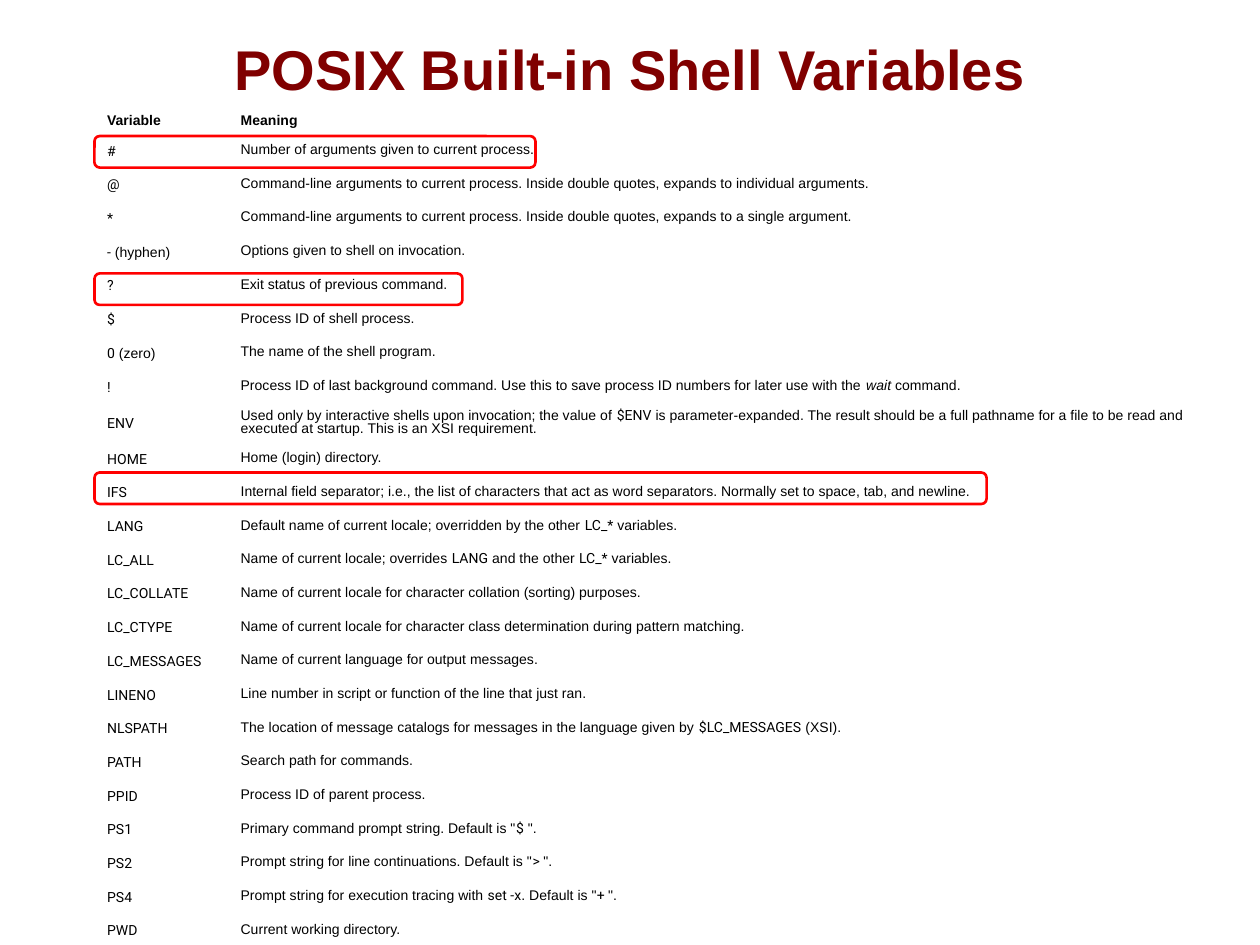
import pptx
import pptx.dml.color
import pptx.enum.shapes
import pptx.enum.text
import pptx.util

Inches = pptx.util.Inches
Pt = pptx.util.Pt
MIDDLE = pptx.enum.text.MSO_ANCHOR.MIDDLE

# Backticks mark code, tildes mark italics.
VARIABLES = [
    ("#", "Number of arguments given to current process."),
    ("@", "Command-line arguments to current process. Inside double quotes, "
          "expands to individual arguments."),
    ("*", "Command-line arguments to current process. Inside double quotes, "
          "expands to a single argument."),
    ("- (hyphen)", "Options given to shell on invocation."),
    ("?", "Exit status of previous command."),
    ("$", "Process ID of shell process."),
    ("0 (zero)", "The name of the shell program."),
    ("!", "Process ID of last background command. Use this to save process ID "
          "numbers for later use with the ~wait~ command."),
    ("ENV", "Used only by interactive shells upon invocation; the value of `$ENV` is "
            "parameter-expanded. The result should be a full pathname for a file to "
            "be read and executed at startup. This is an XSI requirement."),
    ("HOME", "Home (login) directory."),
    ("IFS", "Internal field separator; i.e., the list of characters that act as word "
            "separators. Normally set to space, tab, and newline."),
    ("LANG", "Default name of current locale; overridden by the other `LC_*` variables."),
    ("LC_ALL", "Name of current locale; overrides `LANG` and the other `LC_*` variables."),
    ("LC_COLLATE", "Name of current locale for character collation (sorting) purposes."),
    ("LC_CTYPE", "Name of current locale for character class determination during "
                 "pattern matching."),
    ("LC_MESSAGES", "Name of current language for output messages."),
    ("LINENO", "Line number in script or function of the line that just ran."),
    ("NLSPATH", "The location of message catalogs for messages in the language given by "
                "`$LC_MESSAGES` (XSI)."),
    ("PATH", "Search path for commands."),
    ("PPID", "Process ID of parent process."),
    ("PS1", 'Primary command prompt string. Default is "`$` ".'),
    ("PS2", 'Prompt string for line continuations. Default is "`> `".'),
    ("PS4", 'Prompt string for execution tracing with `set -x`. Default is "`+ `".'),
    ("PWD", "Current working directory."),
]


def color(hex_code):
    """Turn a hex string into a colour."""
    return pptx.dml.color.RGBColor.from_string(hex_code)


def style_run(run, size, hex_code="000000", font="Arial", bold=False, italic=False):
    """Set the look of one run."""
    run.font.name = font
    run.font.size = Pt(size)
    run.font.bold = bold
    run.font.italic = italic
    run.font.color.rgb = color(hex_code)


def add_title(slide, left, top, width, height):
    """Place the centred slide title."""
    frame = slide.shapes.add_textbox(
        Inches(left), Inches(top), Inches(width), Inches(height)).text_frame
    frame.word_wrap = True
    frame.vertical_anchor = MIDDLE
    frame.text = "POSIX Built-in Shell Variables"
    heading = frame.paragraphs[0]
    heading.alignment = pptx.enum.text.PP_ALIGN.CENTER
    style_run(heading.runs[0], 32, "800000", bold=True)


def fill_cell(cell, marked_text, line_spacing, margin_top, bold=False):
    """Write marked text into a cell, switching font at each mark."""
    cell.fill.background()
    cell.vertical_anchor = MIDDLE
    cell.margin_top = Inches(margin_top)
    cell.margin_bottom = Inches(0.05)
    paragraph = cell.text_frame.paragraphs[0]
    paragraph.line_spacing = line_spacing
    for i, code_part in enumerate(marked_text.split("`")):
        for j, part in enumerate(code_part.split("~")):
            if part:
                run = paragraph.add_run()
                run.text = part
                style_run(run, 8, font="Roboto" if i % 2 else "Arial",
                          bold=bold, italic=j % 2 == 1)


def add_variable_table(slide, left, top, width, height):
    """Place the table of variables; all but two rows share the height equally."""
    table = slide.shapes.add_table(
        len(VARIABLES) + 1, 2, Inches(left), Inches(top),
        Inches(width), Inches(height)).table
    table.first_row = table.horz_banding = False
    name_width, header_height, env_height = 1.06, 0.19, 0.3
    table.columns[0].width = Inches(name_width)
    table.columns[1].width = Inches(width - name_width)

    row_height = (height - header_height - env_height) / (len(VARIABLES) - 1)
    table.rows[0].height = Inches(header_height)
    for column, heading in enumerate(("Variable", "Meaning")):
        fill_cell(table.cell(0, column), heading, 0.81, 0.04, bold=True)
    for row, (name, meaning) in enumerate(VARIABLES, 1):
        table.rows[row].height = Inches(env_height if name == "ENV" else row_height)
        symbol, space, note = name.partition(" ")
        fill_cell(table.cell(row, 0), f"`{symbol}`{space}{note}", 0.98, 0.05)
        fill_cell(table.cell(row, 1), meaning, 0.81, 0.04)


def add_highlight(slide, left, top, width, height):
    """Place a red rounded outline around a row."""
    outline = slide.shapes.add_shape(
        pptx.enum.shapes.MSO_SHAPE.ROUNDED_RECTANGLE,
        Inches(left), Inches(top), Inches(width), Inches(height))
    outline.shadow.inherit = False
    outline.fill.background()
    outline.line.color.rgb = color("FF0000")
    outline.line.width = Pt(1.5)


def build():
    """Build and save the slide."""
    deck = pptx.Presentation()
    deck.slide_width = Inches(10)
    deck.slide_height = Inches(7.5)
    slide = deck.slides.add_slide(deck.slide_layouts[6])
    add_title(slide, 0.5, 0.08, 9, 0.92)
    add_variable_table(slide, 0.75, 0.87, 9.06, 6.64)
    for top, width in ((1.08, 3.5), (2.17, 2.92), (3.75, 7.08)):
        add_highlight(slide, 0.75, top, width, 0.25)
    deck.save("out.pptx")


build()
